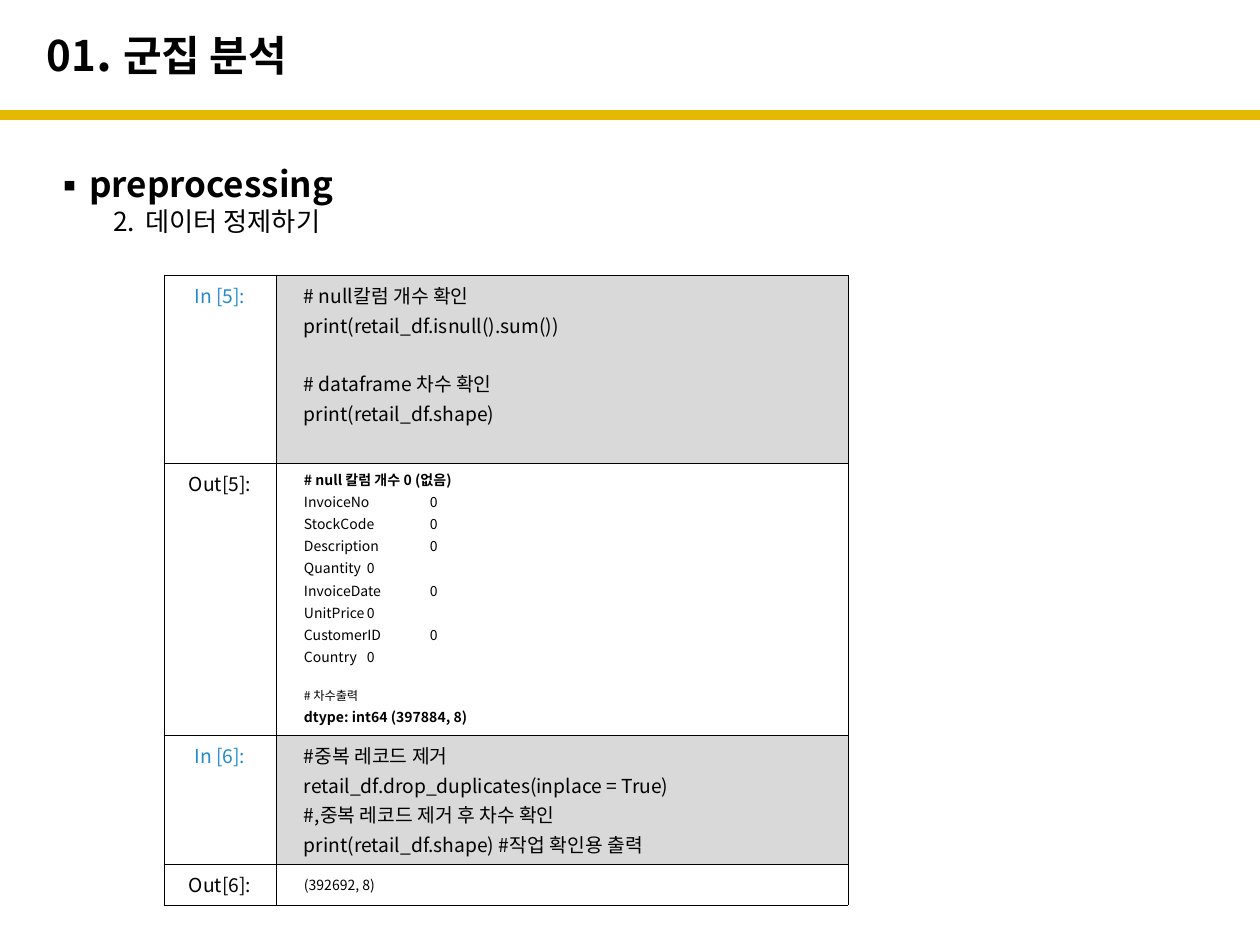
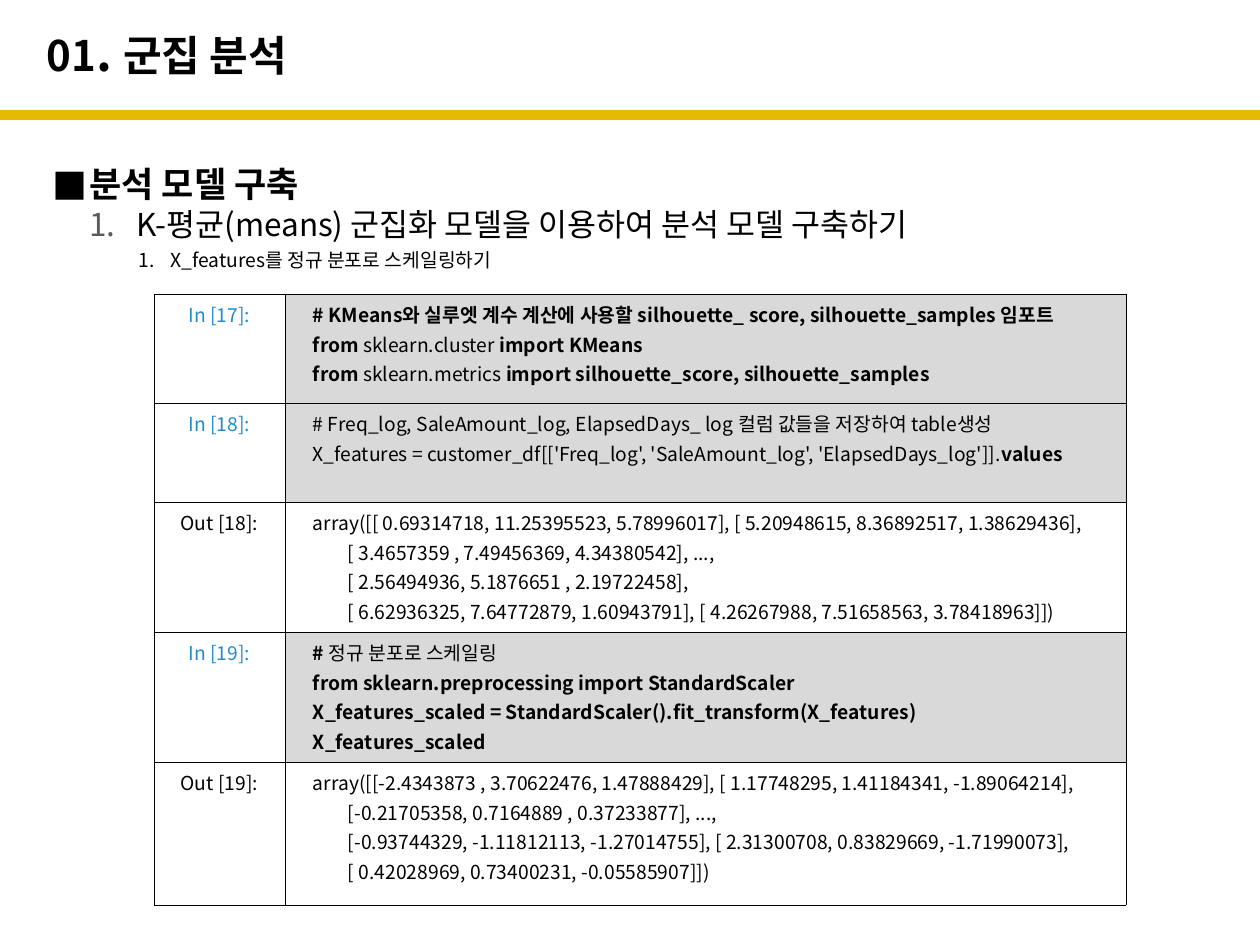
"""Build two slides on cluster analysis: data cleaning and model building."""
import pptx
import pptx.dml.color
import pptx.enum.shapes
import pptx.enum.text
import pptx.oxml.ns
import pptx.util
from lxml import etree

FONT = "Noto Sans CJK KR"
BLACK, WHITE, BLUE, GRAY = "000000", "FFFFFF", "258BCD", "D9D9D9"
GOLD, DARK_GRAY = "E4B902", "595959"
EMU_PER_PX = 914400 / 126
WIDTH, HEIGHT = 1260, 945
RULE_Y = 115
TITLE_BOX = (34, 14, 1197, 76)
BODY_BOX = (40, 140, 1191, 753)
TITLE = [("01", 24), (". ", 28), ("군집 분석", 24)]
CELL_MARGINS = (13, 6, 13, 6)
CODE_MARGINS = (28, 6, 13, 6)
VALUE_TAB = 91
ARRAY_INDENT = 35

NULL_COUNTS = ["InvoiceNo", "StockCode", "Description", "Quantity",
               "InvoiceDate", "UnitPrice", "CustomerID", "Country"]

SLIDES = [
    {
        "outline": [
            ("**preprocessing**", dict(size=20, bullet="▪", margin=37, hang=37)),
            ("데이터 정제하기", dict(size=15, level=2, number=2, margin=93, hang=32)),
        ],
        "table": (164, 275),
        "columns": (112, 572),
        "cells": [
            ("In [5]:", 188, [
                ("# null칼럼 개수 확인", {}),
                ("print(retail_df.isnull().sum())", {}),
                ("# dataframe 차수 확인", dict(before=17)),
                ("print(retail_df.shape)", {}),
            ]),
            ("Out[5]:", 272, [
                ("**# null 칼럼 개수 0 (없음)**", dict(size=8)),
                *[(f"{column}\t0", dict(size=8, tab=VALUE_TAB)) for column in NULL_COUNTS],
                ("# 차수출력", dict(size=7, before=11)),
                ("**dtype: int64 (397884, 8)**", dict(size=8)),
            ]),
            ("In [6]:", 129, [
                ("#중복 레코드 제거", {}),
                ("retail_df.drop_duplicates(inplace = True)", {}),
                ("#,중복 레코드 제거 후 차수 확인", {}),
                ("print(retail_df.shape) #작업 확인용 출력", {}),
            ]),
            ("Out[6]:", 41, [("(392692, 8)", dict(size=8))]),
        ],
    },
    {
        "outline": [
            ("**분석 모델 구축**", dict(size=20, bullet="■", margin=37, hang=37)),
            ("K-평균(means) 군집화 모델을 이용하여 분석 모델 구축하기",
             dict(size=18, level=1, number=1, mark_color=DARK_GRAY, margin=84, hang=47)),
            ("X_features를 정규 분포로 스케일링하기",
             dict(size=11, level=3, number=1, margin=118, hang=32, before=3)),
        ],
        "table": (154, 294),
        "columns": (131, 841),
        "cells": [
            ("In [17]:", 109, [
                ("**# KMeans와 실루엣 계수 계산에 사용할 silhouette_ score, "
                 "silhouette_samples 임포트**", {}),
                ("**from** sklearn.cluster **import KMeans**", {}),
                ("**from** sklearn.metrics **import silhouette_score, silhouette_samples**", {}),
            ]),
            ("In [18]:", 99, [
                ("# Freq_log, SaleAmount_log, ElapsedDays_ log 컬럼 값들을 저장하여 table생성", {}),
                ("X_features = customer_df[['Freq_log', 'SaleAmount_log', "
                 "'ElapsedDays_log']].**values**", {}),
            ]),
            ("Out [18]:", 130, [
                ("array([[ 0.69314718, 11.25395523, 5.78996017], "
                 "[ 5.20948615, 8.36892517, 1.38629436],", {}),
                ("[ 3.4657359 , 7.49456369, 4.34380542], ...,", dict(margin=ARRAY_INDENT)),
                ("[ 2.56494936, 5.1876651 , 2.19722458],", dict(margin=ARRAY_INDENT)),
                ("[ 6.62936325, 7.64772879, 1.60943791], "
                 "[ 4.26267988, 7.51658563, 3.78418963]])", dict(margin=ARRAY_INDENT)),
            ]),
            ("In [19]:", 130, [
                ("**# **정규 분포로 스케일링", {}),
                ("**from sklearn.preprocessing import StandardScaler**", {}),
                ("**X_features_scaled = StandardScaler().fit_transform(X_features)**", {}),
                ("**X_features_scaled**", {}),
            ]),
            ("Out [19]:", 143, [
                ("array([[-2.4343873 , 3.70622476, 1.47888429], "
                 "[ 1.17748295, 1.41184341, -1.89064214],", {}),
                ("[-0.21705358, 0.7164889 , 0.37233877], ...,", dict(margin=ARRAY_INDENT)),
                ("[-0.93744329, -1.11812113, -1.27014755], "
                 "[ 2.31300708, 0.83829669, -1.71990073],", dict(margin=ARRAY_INDENT)),
                ("[ 0.42028969, 0.73400231, -0.05585907]])", dict(margin=ARRAY_INDENT)),
            ]),
        ],
    },
]


def px(length):
    return pptx.util.Emu(round(length * EMU_PER_PX))


def rgb(color):
    return pptx.dml.color.RGBColor.from_string(color)


def add_xml(parent, tag, **attributes):
    child = etree.SubElement(parent, pptx.oxml.ns.qn(tag))
    for key, value in attributes.items():
        child.set(key, str(value))
    return child


def add_run(paragraph, text, size=11, bold=False, color=BLACK):
    run = paragraph.add_run()
    run.text = text
    run.font.name, run.font.size, run.font.bold = FONT, pptx.util.Pt(size), bold
    run.font.color.rgb = rgb(color)
    add_xml(run.font._element, "a:ea", typeface=FONT)


def write(paragraph, text, size=11, color=BLACK, align="LEFT", level=0, before=0, after=0,
          margin=0, hang=0, bullet=None, number=None, mark_color=BLACK, tab=None):
    paragraph.alignment = pptx.enum.text.PP_ALIGN[align]
    paragraph.level = level
    paragraph.line_spacing = 1.0
    paragraph.space_before = pptx.util.Pt(before)
    paragraph.space_after = pptx.util.Pt(after)
    properties = paragraph._p.get_or_add_pPr()
    properties.set("marL", str(px(margin)))
    properties.set("indent", str(px(-hang)))
    if bullet or number:
        add_xml(add_xml(properties, "a:buClr"), "a:srgbClr", val=mark_color)
        add_xml(properties, "a:buFont", typeface=FONT)
    if bullet:
        add_xml(properties, "a:buChar", char=bullet)
    elif number:
        add_xml(properties, "a:buAutoNum", type="arabicPeriod", startAt=number)
    else:
        add_xml(properties, "a:buNone")
    if tab:
        add_xml(add_xml(properties, "a:tabLst"), "a:tab", pos=px(tab), algn="l")
    for index, part in enumerate(text.split("**")):
        if part:
            add_run(paragraph, part, size, index % 2 == 1, color)


def write_lines(frame, lines, **shared):
    for index, (text, style) in enumerate(lines):
        paragraph = frame.add_paragraph() if index else frame.paragraphs[0]
        write(paragraph, text, **{**shared, **style})


def add_heading(slide):
    rule = slide.shapes.add_connector(
        pptx.enum.shapes.MSO_CONNECTOR.STRAIGHT, 0, px(RULE_Y), px(WIDTH), px(RULE_Y))
    rule.line.color.rgb = rgb(GOLD)
    rule.line.width = pptx.util.Pt(6)
    add_xml(rule._element.spPr, "a:effectLst")

    title = slide.shapes.title
    title.left, title.top, title.width, title.height = map(px, TITLE_BOX)
    frame = title.text_frame
    frame.vertical_anchor = pptx.enum.text.MSO_ANCHOR.MIDDLE
    frame.auto_size = pptx.enum.text.MSO_AUTO_SIZE.NONE
    paragraph = frame.paragraphs[0]
    paragraph.alignment = pptx.enum.text.PP_ALIGN.LEFT
    for text, size in TITLE:
        add_run(paragraph, text, size, bold=True)


def add_outline(slide, lines):
    frame = slide.shapes.add_textbox(*map(px, BODY_BOX)).text_frame
    frame.word_wrap = True
    frame.margin_top = px(23)
    write_lines(frame, lines)


def style_cell(cell, fill, margins):
    cell.fill.solid()
    cell.fill.fore_color.rgb = rgb(fill)
    cell.margin_left, cell.margin_top, cell.margin_right, cell.margin_bottom = map(px, margins)
    properties = cell._tc.get_or_add_tcPr()
    for index, side in enumerate(("a:lnL", "a:lnR", "a:lnT", "a:lnB")):
        border = add_xml(properties, side, w=pptx.util.Pt(0.11))
        add_xml(add_xml(border, "a:solidFill"), "a:srgbClr", val=BLACK)
        properties.insert(index, border)


def add_notebook(slide, corner, columns, cells):
    heights = [height for _, height, _ in cells]
    table = slide.shapes.add_table(
        len(cells), len(columns), *map(px, (*corner, sum(columns), sum(heights)))).table
    table.first_row = table.horz_banding = False
    for column, width in zip(table.columns, columns):
        column.width = px(width)
    for index, (label, height, lines) in enumerate(cells):
        table.rows[index].height = px(height)
        is_input = label.startswith("In")
        prompt, code = table.cell(index, 0), table.cell(index, 1)
        style_cell(prompt, WHITE, CELL_MARGINS)
        style_cell(code, GRAY if is_input else WHITE, CODE_MARGINS)
        write(prompt.text_frame.paragraphs[0], label, color=BLUE if is_input else BLACK,
              align="CENTER", before=5, after=3)
        write_lines(code.text_frame, lines, level=3, before=0.5, after=0.5)
        if len(lines) == 1:
            code.vertical_anchor = pptx.enum.text.MSO_ANCHOR.MIDDLE


def main():
    deck = pptx.Presentation()
    deck.slide_width, deck.slide_height = px(WIDTH), px(HEIGHT)
    for content in SLIDES:
        slide = deck.slides.add_slide(deck.slide_layouts[5])
        add_heading(slide)
        add_outline(slide, content["outline"])
        add_notebook(slide, content["table"], content["columns"], content["cells"])
    deck.save("out.pptx")


if __name__ == "__main__":
    main()
